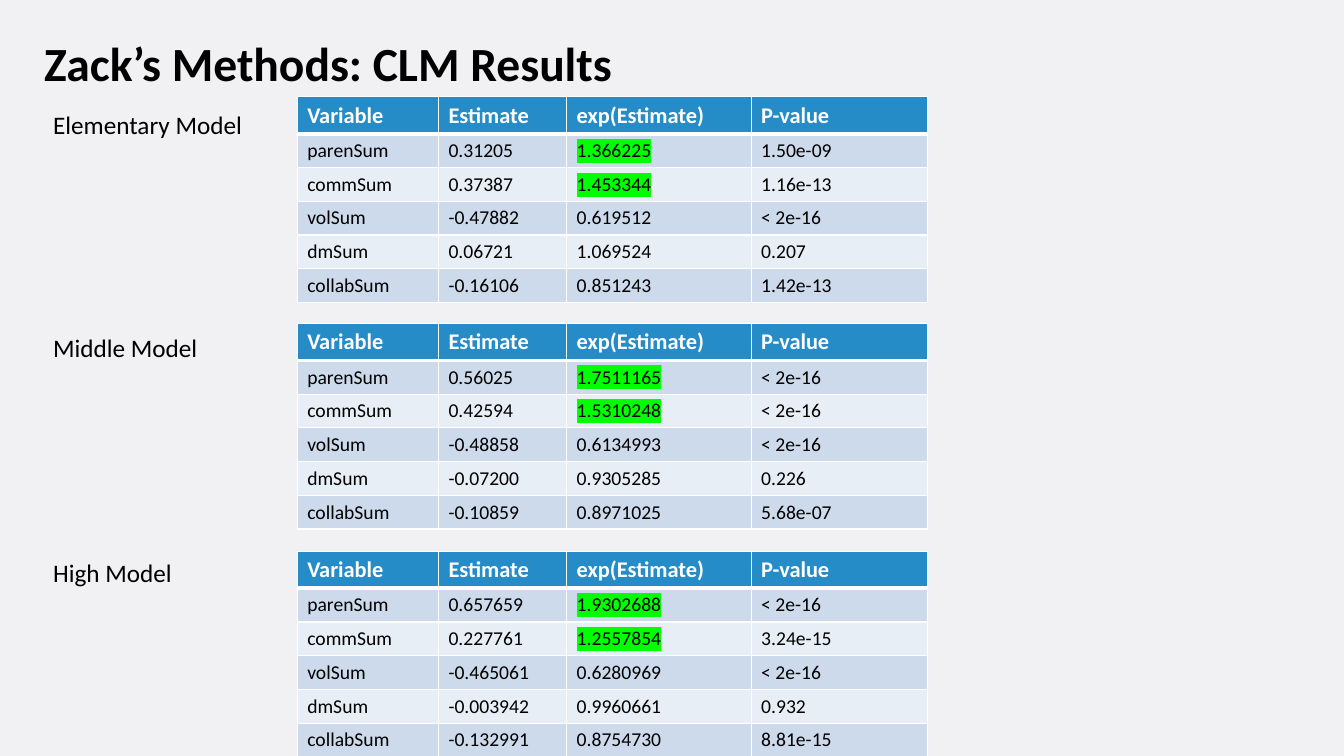
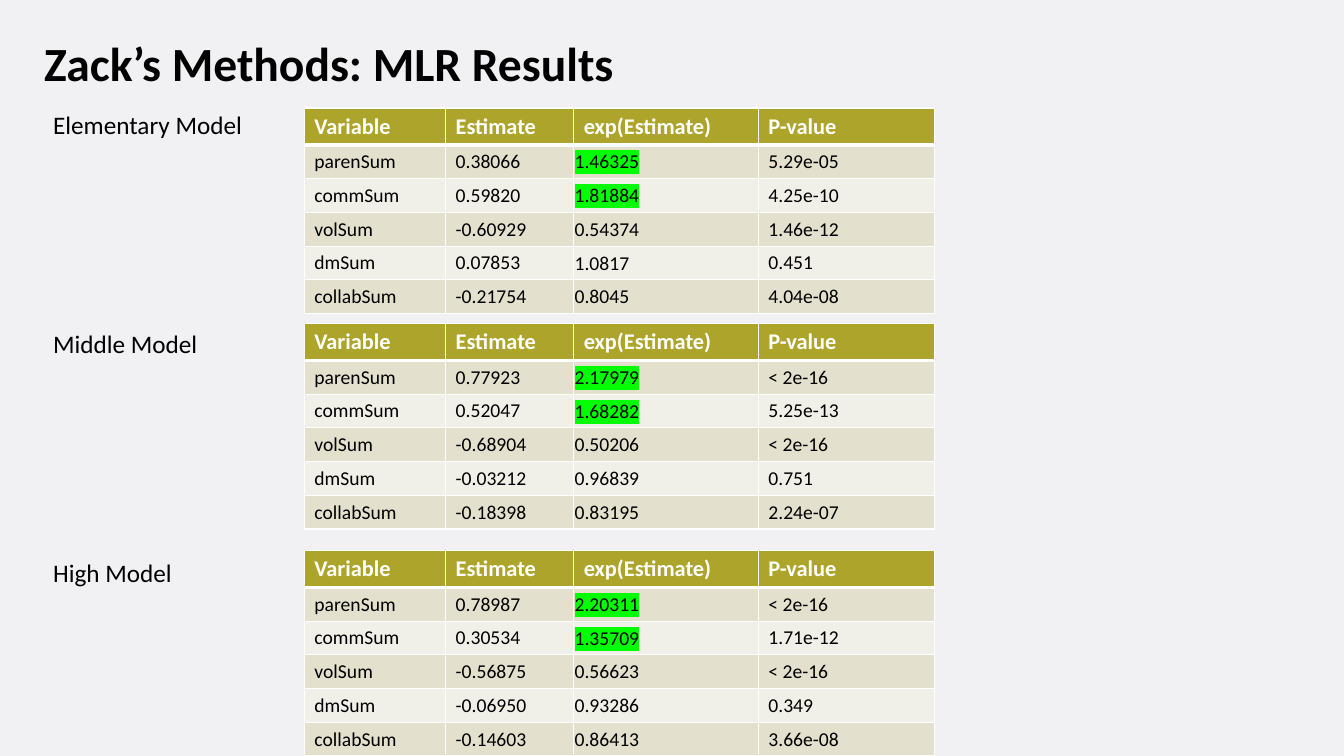
from dataclasses import dataclass

from lxml.etree import SubElement
from pptx import Presentation
from pptx.dml.color import RGBColor
from pptx.enum.text import MSO_ANCHOR, MSO_AUTO_SIZE
from pptx.oxml import parse_xml
from pptx.oxml.ns import nsdecls, qn
from pptx.util import Cm, Pt

FONT = "Calibri"
BLACK = RGBColor(0x00, 0x00, 0x00)
WHITE = RGBColor(0xFF, 0xFF, 0xFF)
BACKGROUND = RGBColor(0xF1, 0xF0, 0xF3)
HIGHLIGHT = RGBColor(0x00, 0xFF, 0x00)

HEADERS = ("Variable", "Estimate", "exp(Estimate)", "P-value")
VARIABLES = ("parenSum", "commSum", "volSum", "dmSum", "collabSum")
HIGHLIGHTED_VARIABLES = ("parenSum", "commSum")
EXP_COLUMN = HEADERS.index("exp(Estimate)")
COLUMN_WIDTHS = (Cm(3.56), Cm(3.23), Cm(4.65), Cm(4.44))
HEADER_HEIGHT = Cm(0.93)
ROW_HEIGHT = Cm(0.85)
THIN, THICK = Pt(1), Pt(3)


@dataclass
class Theme:
    header: RGBColor
    odd_row: RGBColor
    even_row: RGBColor
    table_left: int
    tight_exp_cells: bool


@dataclass
class Model:
    name: str
    label_top: int
    table_top: int
    results: tuple


BLUE_THEME = Theme(RGBColor(0x25, 0x8C, 0xC7), RGBColor(0xCD, 0xDA, 0xEB),
                   RGBColor(0xE8, 0xEE, 0xF5), Cm(7.49), False)
OLIVE_THEME = Theme(RGBColor(0xAD, 0xA5, 0x2B), RGBColor(0xE3, 0xE1, 0xCD),
                    RGBColor(0xF1, 0xF0, 0xE8), Cm(7.67), True)

CLM_MODELS = (
    Model("Elementary Model", Cm(2.64), Cm(2.44), (
        ("0.31205", "1.366225", "1.50e-09"),
        ("0.37387", "1.453344", "1.16e-13"),
        ("-0.47882", "0.619512", "< 2e-16"),
        ("0.06721", "1.069524", "0.207"),
        ("-0.16106", "0.851243", "1.42e-13"),
    )),
    Model("Middle Model", Cm(8.26), Cm(8.15), (
        ("0.56025", "1.7511165", "< 2e-16"),
        ("0.42594", "1.5310248", "< 2e-16"),
        ("-0.48858", "0.6134993", "< 2e-16"),
        ("-0.07200", "0.9305285", "0.226"),
        ("-0.10859", "0.8971025", "5.68e-07"),
    )),
    Model("High Model", Cm(13.92), Cm(13.89), (
        ("0.657659", "1.9302688", "< 2e-16"),
        ("0.227761", "1.2557854", "3.24e-15"),
        ("-0.465061", "0.6280969", "< 2e-16"),
        ("-0.003942", "0.9960661", "0.932"),
        ("-0.132991", "0.8754730", "8.81e-15"),
    )),
)
MLR_MODELS = (
    Model("Elementary Model", Cm(2.64), Cm(2.72), (
        ("0.38066", "1.46325", "5.29e-05"),
        ("0.59820", "1.81884", "4.25e-10"),
        ("-0.60929", "0.54374", "1.46e-12"),
        ("0.07853", "1.0817", "0.451"),
        ("-0.21754", "0.8045", "4.04e-08"),
    )),
    Model("Middle Model", Cm(8.15), Cm(8.15), (
        ("0.77923", "2.17979", "< 2e-16"),
        ("0.52047", "1.68282", "5.25e-13"),
        ("-0.68904", "0.50206", "< 2e-16"),
        ("-0.03212", "0.96839", "0.751"),
        ("-0.18398", "0.83195", "2.24e-07"),
    )),
    Model("High Model", Cm(13.92), Cm(13.87), (
        ("0.78987", "2.20311", "< 2e-16"),
        ("0.30534", "1.35709", "1.71e-12"),
        ("-0.56875", "0.56623", "< 2e-16"),
        ("-0.06950", "0.93286", "0.349"),
        ("-0.14603", "0.86413", "3.66e-08"),
    )),
)


def write_text(text_frame, text, size, color=BLACK, bold=False):
    text_frame.text = text
    run = text_frame.paragraphs[0].runs[0]
    run.font.name = FONT
    run.font.size = Pt(size)
    run.font.bold = bold
    run.font.color.rgb = color
    return run


def add_text(slide, text, left, top, width, height, size, bold=False):
    text_frame = slide.shapes.add_textbox(left, top, width, height).text_frame
    text_frame.word_wrap = True
    text_frame.auto_size = MSO_AUTO_SIZE.SHAPE_TO_FIT_TEXT
    write_text(text_frame, text, size, bold=bold)


def highlight(run):
    fill = run.font._element.find(qn("a:solidFill"))
    mark = parse_xml(f"<a:highlight {nsdecls('a')}/>")
    SubElement(mark, qn("a:srgbClr"), val=str(HIGHLIGHT))
    fill.addnext(mark)


def set_borders(cell, top, bottom):
    properties = cell._tc.get_or_add_tcPr()
    widths = {"lnL": THIN, "lnR": THIN, "lnT": top, "lnB": bottom}
    for index, (side, width) in enumerate(widths.items()):
        properties.insert(index, parse_xml(
            f'<a:{side} {nsdecls("a")} w="{width}"><a:solidFill>'
            f'<a:srgbClr val="{WHITE}"/></a:solidFill></a:{side}>'))


def fill_cell(cell, color):
    cell.fill.solid()
    cell.fill.fore_color.rgb = color


def tighten(cell):
    cell.vertical_anchor = MSO_ANCHOR.MIDDLE
    cell.margin_left = cell.margin_right = cell.margin_top = Cm(0.02)
    cell.margin_bottom = 0


def format_header(cell, text, theme):
    write_text(cell.text_frame, text, 16, WHITE, bold=True)
    fill_cell(cell, theme.header)
    set_borders(cell, THIN, THICK)


def format_result(cell, text, row, column, theme):
    run = write_text(cell.text_frame, text, 14)
    fill_cell(cell, theme.odd_row if row % 2 else theme.even_row)
    set_borders(cell, THICK if row == 1 else THIN, THIN)
    if column == EXP_COLUMN:
        if VARIABLES[row - 1] in HIGHLIGHTED_VARIABLES:
            highlight(run)
        if theme.tight_exp_cells:
            tighten(cell)


def add_results_table(slide, model, theme):
    height = HEADER_HEIGHT + len(VARIABLES) * ROW_HEIGHT
    table = slide.shapes.add_table(
        len(VARIABLES) + 1, len(HEADERS), theme.table_left, model.table_top,
        sum(COLUMN_WIDTHS), height).table
    table.horz_banding = False
    for column, width in enumerate(COLUMN_WIDTHS):
        table.columns[column].width = width
        format_header(table.cell(0, column), HEADERS[column], theme)
    table.rows[0].height = HEADER_HEIGHT
    for row, (variable, result) in enumerate(zip(VARIABLES, model.results), 1):
        table.rows[row].height = ROW_HEIGHT
        for column, text in enumerate((variable, *result)):
            format_result(table.cell(row, column), text, row, column, theme)


def add_results_slide(presentation, title, models, theme):
    slide = presentation.slides.add_slide(presentation.slide_layouts[6])
    add_text(slide, title, Cm(0.86), Cm(0.74), Cm(29.49), Cm(1.7), 34, bold=True)
    for model in models:
        add_text(slide, model.name, Cm(1.09), model.label_top, Cm(5.87), Cm(1.02), 18)
        add_results_table(slide, model, theme)


def main():
    presentation = Presentation()
    presentation.slide_width = Cm(33.87)
    presentation.slide_height = Cm(19.05)
    background = presentation.slide_master.background.fill
    background.solid()
    background.fore_color.rgb = BACKGROUND
    add_results_slide(presentation, "Zack’s Methods: CLM Results", CLM_MODELS, BLUE_THEME)
    add_results_slide(presentation, "Zack’s Methods: MLR Results", MLR_MODELS, OLIVE_THEME)
    presentation.save("out.pptx")


if __name__ == "__main__":
    main()
